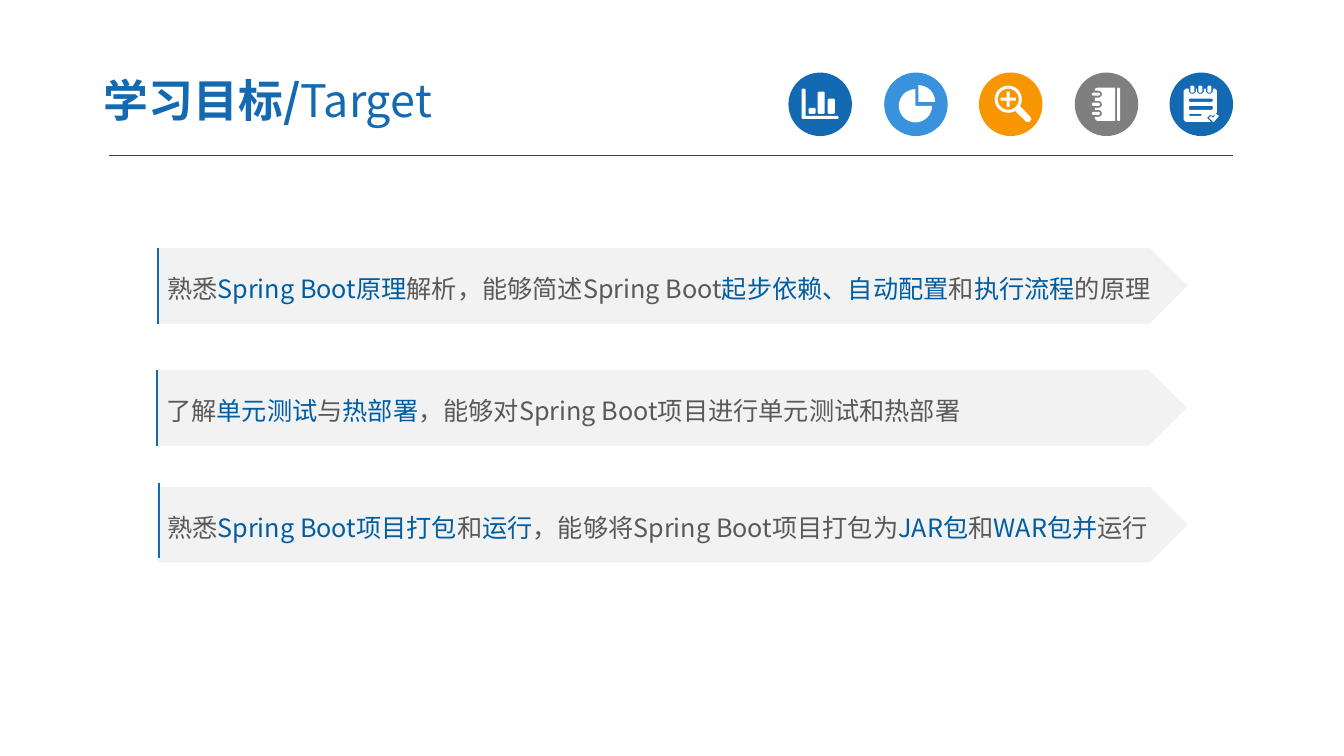
import math

import lxml.etree
import pptx
import pptx.dml.color
import pptx.enum.shapes
import pptx.enum.text
import pptx.oxml.ns
import pptx.util

RGBColor = pptx.dml.color.RGBColor
Shape = pptx.enum.shapes.MSO_SHAPE

BLUE = RGBColor(0x13, 0x69, 0xB2)
LIGHT_BLUE = RGBColor(0x39, 0x92, 0xDB)
ORANGE = RGBColor(0xF7, 0x96, 0x00)
GRAY = RGBColor(0x7F, 0x7F, 0x7F)
WHITE = RGBColor(0xFF, 0xFF, 0xFF)
RULE_GRAY = RGBColor(0x40, 0x40, 0x40)
KEYWORD_BLUE = RGBColor(0x00, 0x5D, 0xA2)
BODY_GRAY = RGBColor(0x59, 0x59, 0x59)
BANNER_GRAY = RGBColor(0xF2, 0xF2, 0xF2)


def bar(left, top, width, height):
    right, bottom = left + width, top + height
    return [(left + 1, top), (right - 1, top), (right, top + 1),
            (right, bottom - 1), (right - 1, bottom), (left + 1, bottom),
            (left, bottom - 1), (left, top + 1)]


def arc(x, y, radius, start, end, steps=24):
    angles = [math.radians(start + (end - start) * step / steps)
              for step in range(steps + 1)]
    return [(x + radius * math.cos(angle), y + radius * math.sin(angle))
            for angle in angles]


def plus(x, y, reach, half):
    corners = [(half, -reach), (half, -half), (reach, -half)]
    points = []
    for _ in range(4):
        points += [(x + across, y + down) for across, down in corners]
        corners = [(-down, across) for across, down in corners]
    return points


class SlideBuilder:
    scale = 9144
    subdivision = 10
    font_name = "Noto Sans CJK SC"

    def __init__(self, presentation):
        self.slide = presentation.slides.add_slide(presentation.slide_layouts[6])
        self.shapes = self.slide.shapes

    def px(self, *lengths):
        return [pptx.util.Emu(length * self.scale) for length in lengths]

    def paint(self, shape, color):
        shape.shadow.inherit = False
        shape.fill.solid()
        shape.fill.fore_color.rgb = color
        shape.line.fill.background()

    def shape(self, kind, box, color):
        shape = self.shapes.add_shape(kind, *self.px(*box))
        self.paint(shape, color)
        return shape

    def outline(self, contours, close=True):
        fine = [[(x * self.subdivision, y * self.subdivision) for x, y in contour]
                for contour in contours]
        builder = self.shapes.build_freeform(
            *fine[0][0], scale=self.scale / self.subdivision)
        for index, contour in enumerate(fine):
            if index:
                builder.move_to(*contour[0])
            builder.add_line_segments(contour[1:], close=close)
        return builder.convert_to_shape()

    def icon(self, left, color, contours):
        self.shape(Shape.OVAL, (left, 72, 63, 63), color)
        self.paint(self.outline(contours), WHITE)

    def rule(self, start, end, color, width):
        connector = self.shapes.add_connector(
            pptx.enum.shapes.MSO_CONNECTOR.STRAIGHT, *self.px(*start, *end))
        connector.line.color.rgb = color
        connector.line.width = pptx.util.Pt(width)
        lxml.etree.SubElement(
            connector._element.spPr, pptx.oxml.ns.qn("a:effectLst"))

    def accent(self, left, top):
        accent = self.outline([[(left, top + 75), (left, top)]], close=False)
        accent.shadow.inherit = False
        accent.fill.background()
        accent.line.color.rgb = BLUE
        accent.line.width = pptx.util.Pt(1.5)

    def text(self, frame, runs, size):
        frame.word_wrap = True
        frame.vertical_anchor = pptx.enum.text.MSO_ANCHOR.MIDDLE
        paragraph = frame.paragraphs[0]
        paragraph.alignment = pptx.enum.text.PP_ALIGN.LEFT
        paragraph.font.size = pptx.util.Pt(size)
        paragraph.font.name = self.font_name
        east_asian = lxml.etree.SubElement(
            paragraph.font._element, pptx.oxml.ns.qn("a:ea"))
        east_asian.set("typeface", self.font_name)
        for words, color, bold in runs:
            run = paragraph.add_run()
            run.text = words
            run.font.color.rgb = color
            run.font.bold = bold
        return paragraph

    def title(self, box, runs):
        frame = self.shapes.add_textbox(*self.px(*box)).text_frame
        frame.margin_left, frame.margin_right = self.px(13, 13)
        frame.margin_top, frame.margin_bottom = self.px(7, 7)
        self.text(frame, runs, 32)

    def banner(self, left, top, accent_left, accent_top, phrases):
        banner = self.shape(Shape.PENTAGON, (left, top, 1022, 75), BANNER_GRAY)
        runs = [(words, KEYWORD_BLUE if index % 2 else BODY_GRAY, False)
                for index, words in enumerate(phrases)]
        self.text(banner.text_frame, runs, 18).line_spacing = 1.2
        self.accent(accent_left, accent_top)

    def bar_chart_icon(self):
        axes = [(795, 89), (796, 88), (798, 88), (799, 89), (799, 115),
                (831, 115), (832, 117), (831, 118), (796, 118), (795, 117)]
        self.icon(782, BLUE, [axes, bar(802, 107, 7, 6),
                              bar(811, 91, 7, 22), bar(821, 98, 7, 15)])

    def pie_icon(self):
        self.icon(877, LIGHT_BLUE, [
            [(908, 105)] + arc(908, 105, 16.5, 0, 270),
            [(911, 101)] + arc(911, 101, 16.5, -90, 0, 8)])

    def magnifier_icon(self):
        handle = [(1022, 116), (1023, 118), (1021, 121), (1018, 121)]
        self.icon(971, ORANGE, [
            arc(1000, 98.5, 13.5, 60, 390) + handle,
            arc(1000, 98.5, 10.5, 0, 360), plus(1000, 98.5, 7.5, 1.5)])

    def notebook_icon(self):
        ring_tops = (90, 100, 109)
        cover = [(1106, 120), (1106, 87), (1088, 87), (1086, 88)]
        for top in ring_tops:
            cover += [(1086, top)] + arc(1089.5, top + 3.5, 3.5, -90, 90, 6)
            cover.append((1086, top + 7))
        cover += [(1086, 118), (1088, 120)]
        rings = [bar(1083, top + 2, 8, 3) for top in ring_tops]
        self.icon(1066, GRAY, [cover, bar(1108, 87, 3, 33)] + rings)

    def checklist_icon(self):
        ring_lefts = (1179, 1187, 1196)
        page = [(1174, 90), (1176, 88)]
        for left in ring_lefts:
            page += [(left, 88), (left, 91), (left + 2, 93),
                     (left + 5, 93), (left + 7, 91), (left + 7, 88)]
        page += [(1205, 88), (1207, 90), (1207, 112), (1203, 115), (1200, 114),
                 (1197, 117), (1201, 121), (1176, 121), (1174, 119)]
        rings = [bar(left + 1.5, 85, 4, 7) for left in ring_lefts]
        lines = [bar(1179, top, width, height) for top, width, height in
                 ((98, 24, 3), (105, 24, 4), (113, 13, 2))]
        check = [(1199, 117), (1201, 115), (1203, 117), (1206, 113),
                 (1209, 115), (1204, 121), (1203, 121)]
        self.icon(1160, BLUE, [page, check] + rings + lines)


def main():
    presentation = pptx.Presentation()
    presentation.slide_width = pptx.util.Inches(13.33)
    presentation.slide_height = pptx.util.Inches(7.5)
    builder = SlideBuilder(presentation)
    builder.rule((108, 154), (1223, 154), RULE_GRAY, 0.75)
    builder.checklist_icon()
    builder.magnifier_icon()
    builder.notebook_icon()
    builder.bar_chart_icon()
    builder.pie_icon()
    builder.title((90, 63, 522, 72),
                  [("学习目标/", BLUE, True), ("Target", BLUE, False)])
    builder.banner(155, 367, 156, 367, [
        "了解", "单元测试", "与", "热部署",
        "，能够对Spring Boot项目进行单元测试和热部署"])
    builder.banner(156, 483, 158, 479, [
        "熟悉", "Spring Boot项目打包", "和", "运行",
        "，能够将Spring Boot项目打包为", "JAR包", "和", "WAR包并", "运行"])
    builder.banner(156, 246, 157, 246, [
        "熟悉", "Spring Boot原理", "解析，能够简述Spring Boot",
        "起步依赖、自动配置", "和", "执行流程", "的原理"])
    presentation.save("out.pptx")


if __name__ == "__main__":
    main()
